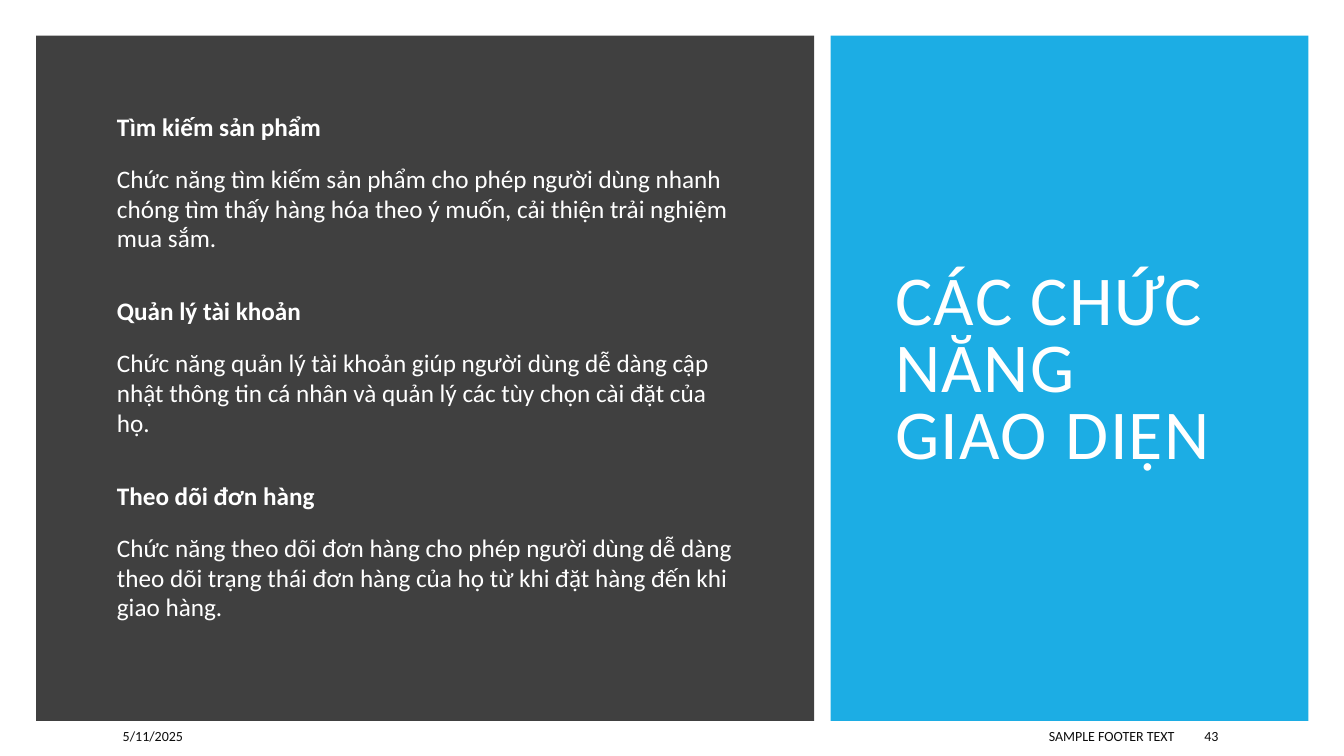
from pptx import Presentation
from pptx.dml.color import RGBColor
from pptx.enum.shapes import MSO_SHAPE
from pptx.enum.text import MSO_ANCHOR, MSO_AUTO_SIZE, PP_ALIGN
from pptx.oxml.xmlchemy import OxmlElement
from pptx.util import Pt

RECTANGLE = MSO_SHAPE.RECTANGLE
TOP, MIDDLE = MSO_ANCHOR.TOP, MSO_ANCHOR.MIDDLE
LEFT, RIGHT = PP_ALIGN.LEFT, PP_ALIGN.RIGHT
NO_AUTOFIT = MSO_AUTO_SIZE.NONE

FONT = "Calibri"
COLORS = {"white": "FFFFFF", "charcoal": "404040", "blue": "1CADE4", "ink": "0D0D0D"}
WIDTH, HEIGHT = 960, 540

TITLE = "CÁC CHỨC NĂNG GIAO DIỆN"
FEATURES = [
    ("Tìm kiếm sản phẩm",
     "Chức năng tìm kiếm sản phẩm cho phép người dùng nhanh chóng tìm thấy "
     "hàng hóa theo ý muốn, cải thiện trải nghiệm mua sắm."),
    ("Quản lý tài khoản",
     "Chức năng quản lý tài khoản giúp người dùng dễ dàng cập nhật thông tin "
     "cá nhân và quản lý các tùy chọn cài đặt của họ."),
    ("Theo dõi đơn hàng",
     "Chức năng theo dõi đơn hàng cho phép người dùng dễ dàng theo dõi trạng "
     "thái đơn hàng của họ từ khi đặt hàng đến khi giao hàng."),
]

# Boxes are left, top, width, height
PANEL_TOP, PANEL_HEIGHT = 25.4, 489.6
PANELS = [
    ((0, 0, WIDTH, HEIGHT), "white"),
    ((25.8, PANEL_TOP, 555.8, PANEL_HEIGHT), "charcoal"),
    ((593.3, PANEL_TOP, 341.3, PANEL_HEIGHT), "blue"),
]
TITLE_BOX = (632.2, 76.3, 262.8, 379.4)
BODY_BOX = (76.3, 77, 458.6, 382.3)
FOOTER_TOP, FOOTER_HEIGHT = PANEL_TOP + PANEL_HEIGHT, 21.6
FOOTERS = [  # text, left, width, alignment
    ("5/11/2025", 80.6, 170, LEFT),
    ("SAMPLE FOOTER TEXT", 442.8, 403.2, RIGHT),
    ("43", 853.2, 76.3, LEFT),
]


def place(shape, box):
    shape.left, shape.top, shape.width, shape.height = map(Pt, box)


def prepare_frame(shape, anchor):
    frame = shape.text_frame
    frame.word_wrap = True
    frame.auto_size = NO_AUTOFIT
    frame.vertical_anchor = anchor
    return frame


def write(paragraph, text, size=18, color="white", bold=False, align=LEFT,
          before=0, after=0, line=1.0, tracking=0):
    """Fill one unbulleted paragraph; tracking is in points."""
    properties = paragraph._p.get_or_add_pPr()
    properties.set("marL", "0")
    properties.set("indent", "0")
    properties.append(OxmlElement("a:buNone"))
    paragraph.alignment = align
    paragraph.space_before, paragraph.space_after = Pt(before), Pt(after)
    paragraph.line_spacing = line
    run = paragraph.add_run()
    run.text = text
    run.font.name, run.font.size, run.font.bold = FONT, Pt(size), bold
    run.font.color.rgb = RGBColor.from_string(COLORS[color])
    if tracking:
        run.font._element.set("spc", str(tracking * 100))


def add_panel(slide, box, color):
    panel = slide.shapes.add_shape(RECTANGLE, *map(Pt, box))
    panel.shadow.inherit = False
    panel.fill.solid()
    panel.fill.fore_color.rgb = RGBColor.from_string(COLORS[color])
    panel.line.fill.background()


def fill_body(body):
    frame = prepare_frame(body, TOP)
    for index, (heading, description) in enumerate(FEATURES):
        paragraph = frame.add_paragraph() if index else frame.paragraphs[0]
        write(paragraph, heading, bold=True, before=25 if index else 0, after=6, line=0.98)
        paragraph = frame.add_paragraph()
        paragraph.level = 1
        write(paragraph, description, before=10, after=6, line=0.98)


def main():
    presentation = Presentation()
    presentation.slide_width, presentation.slide_height = Pt(WIDTH), Pt(HEIGHT)
    slide = presentation.slides.add_slide(presentation.slide_layouts[1])
    title, body = slide.shapes.title, slide.placeholders[1]

    for box, color in PANELS:
        add_panel(slide, box, color)

    # Bring the placeholders in front of the panels
    for placeholder, box in ((body, BODY_BOX), (title, TITLE_BOX)):
        slide.shapes._spTree.append(placeholder._element)
        place(placeholder, box)

    fill_body(body)
    write(prepare_frame(title, MIDDLE).paragraphs[0], TITLE, size=50, line=0.8, tracking=1)

    for text, left, width, align in FOOTERS:
        footer = slide.shapes.add_textbox(Pt(left), Pt(FOOTER_TOP), Pt(width), Pt(FOOTER_HEIGHT))
        write(prepare_frame(footer, MIDDLE).paragraphs[0], text, size=10, color="ink",
              align=align, after=6)

    presentation.save("out.pptx")


if __name__ == "__main__":
    main()
